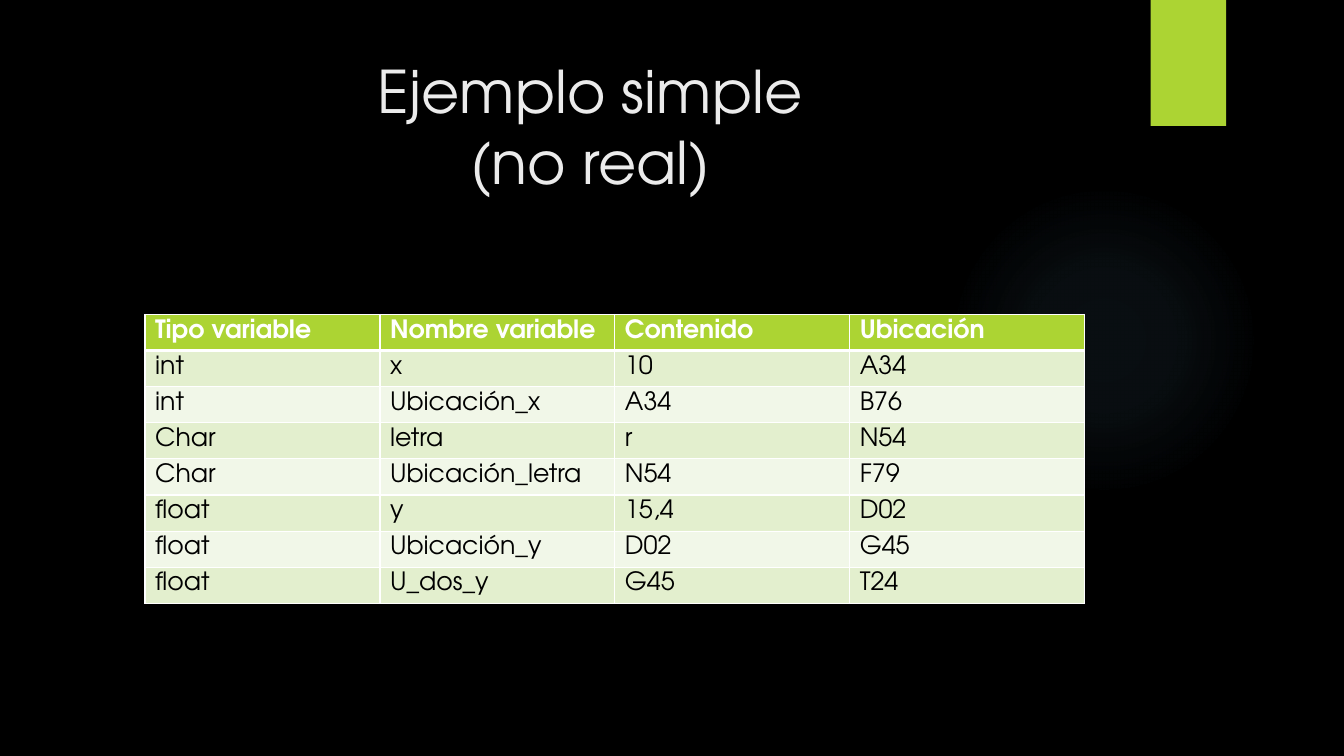
import pptx
import pptx.util
import pptx.dml.color
import pptx.enum.shapes
import pptx.enum.text
import pptx.oxml
import pptx.oxml.ns

Pt = pptx.util.Pt
RGB = pptx.dml.color.RGBColor.from_string

# Content
TITLE = "Ejemplo simple\v(no real)"
HEADER = ("Tipo variable", "Nombre variable", "Contenido", "Ubicación")
VARIABLES = [
    ("int", "x", "10", "A34"),
    ("int", "Ubicación_x", "A34", "B76"),
    ("Char", "letra", "r", "N54"),
    ("Char", "Ubicación_letra", "N54", "F79"),
    ("float", "y", "15,4", "D02"),
    ("float", "Ubicación_y", "D02", "G45"),
    ("float", "U_dos_y", "G45", "T24"),
]

THEME = {
    "font": "TeX Gyre Adventor",
    "background": "000000",
    "accent": "ACD433",
    "glow": "7AC4F0",
    "title": "EBEBEB",
    "header_text": "FFFFFF",
    "body_text": "000000",
    "bands": ("E3EFCE", "F1F7E8"),
    "border": "FFFFFF",
    "title_size": 42,
    "table_size": 18,
}

# Layout in points: left, top, width, height
SLIDE = (960, 540)
GLOW = (677.5, 131.8, 221.8, 221.8)
TAB = (821.9, 0, 54, 90)
TITLE_BOX = (51.1, 36, 740.9, 110.2)
TITLE_MARGIN_BOTTOM = 6.4
TABLE_LEFT, TABLE_TOP = 103.6, 224.6
COL_WIDTH, ROW_HEIGHT = 167.8, 25.8
CELL_MARGIN_TOP, CELL_MARGIN_BOTTOM = 3.6, 0
GLOW_STOPS = ((0, 7), (36, 6), (69, 0), (100, 0))  # position %, opacity %


def box(values):
    return [Pt(v) for v in values]


def xml(text):
    return pptx.oxml.parse_xml(text.replace(">", " " + pptx.oxml.ns.nsdecls("a") + ">", 1))


def set_values(target, values):
    for name, value in values.items():
        setattr(target, name, value)


def set_font(font, size, color, bold=False):
    set_values(font, {"name": THEME["font"], "size": Pt(size), "bold": bold})
    font.color.rgb = RGB(color)


def add_plain_shape(s, kind, place, color):
    sp = s.shapes.add_shape(kind, *box(place))
    sp.shadow.inherit = False
    sp.fill.solid()
    sp.fill.fore_color.rgb = RGB(color)
    sp.line.fill.background()
    return sp


def add_glow(s):
    sp = add_plain_shape(s, pptx.enum.shapes.MSO_SHAPE.OVAL, GLOW, THEME["glow"])
    stops = "".join(
        f'<a:gs pos="{pos * 1000}"><a:srgbClr val="{THEME["glow"]}">'
        f'<a:alpha val="{alpha * 1000}"/></a:srgbClr></a:gs>'
        for pos, alpha in GLOW_STOPS)
    gradient = xml(
        f'<a:gradFill><a:gsLst>{stops}</a:gsLst><a:path path="circle">'
        '<a:fillToRect l="50000" t="50000" r="50000" b="50000"/></a:path></a:gradFill>')
    solid = sp.element.spPr.find(pptx.oxml.ns.qn("a:solidFill"))
    solid.getparent().replace(solid, gradient)


def add_title(s):
    sp = s.shapes.title
    sp.left, sp.top, sp.width, sp.height = box(TITLE_BOX)
    sp.element.getparent().append(sp.element)  # in front of the glow
    tf = sp.text_frame
    tf.text = TITLE
    set_values(tf, {
        "word_wrap": True,
        "auto_size": pptx.enum.text.MSO_AUTO_SIZE.NONE,
        "vertical_anchor": pptx.enum.text.MSO_ANCHOR.MIDDLE,
        "margin_bottom": Pt(TITLE_MARGIN_BOTTOM),
    })
    p = tf.paragraphs[0]
    p.alignment = pptx.enum.text.PP_ALIGN.CENTER
    for r in p.runs:
        set_font(r.font, THEME["title_size"], THEME["title"])


def set_borders(cell, widths):
    tcPr = cell._tc.get_or_add_tcPr()
    for i, (side, width) in enumerate(widths.items()):
        tcPr.insert(i, xml(
            f'<a:ln{side} w="{Pt(width)}"><a:solidFill>'
            f'<a:srgbClr val="{THEME["border"]}"/></a:solidFill></a:ln{side}>'))


def add_variable_table(s):
    rows = [HEADER] + VARIABLES
    place = (TABLE_LEFT, TABLE_TOP, COL_WIDTH * len(HEADER), ROW_HEIGHT * len(rows))
    table = s.shapes.add_table(len(rows), len(HEADER), *box(place)).table
    for col in table.columns:
        col.width = Pt(COL_WIDTH)
    for i, texts in enumerate(rows):
        table.rows[i].height = Pt(ROW_HEIGHT)
        is_header = i == 0
        fill = THEME["accent"] if is_header else THEME["bands"][(i - 1) % 2]
        color = THEME["header_text" if is_header else "body_text"]
        # The rule under the header is thicker and shared by both rows
        widths = {"L": 1, "R": 1, "T": 3 if i == 1 else 1, "B": 3 if is_header else 1}
        for j, text in enumerate(texts):
            cell = table.cell(i, j)
            set_values(cell, {
                "text": text,
                "margin_top": Pt(CELL_MARGIN_TOP),
                "margin_bottom": Pt(CELL_MARGIN_BOTTOM),
                "vertical_anchor": pptx.enum.text.MSO_ANCHOR.TOP,
            })
            cell.fill.solid()
            cell.fill.fore_color.rgb = RGB(fill)
            set_font(cell.text_frame.paragraphs[0].runs[0].font,
                     THEME["table_size"], color, is_header)
            set_borders(cell, widths)


def main():
    prs = pptx.Presentation()
    prs.slide_width, prs.slide_height = box(SLIDE)
    s = prs.slides.add_slide(prs.slide_layouts[5])
    s.background.fill.solid()
    s.background.fill.fore_color.rgb = RGB(THEME["background"])

    # Decoration
    add_glow(s)
    add_plain_shape(s, pptx.enum.shapes.MSO_SHAPE.RECTANGLE, TAB, THEME["accent"])

    # Title and table
    add_title(s)
    add_variable_table(s)
    prs.save("out.pptx")


if __name__ == "__main__":
    main()
